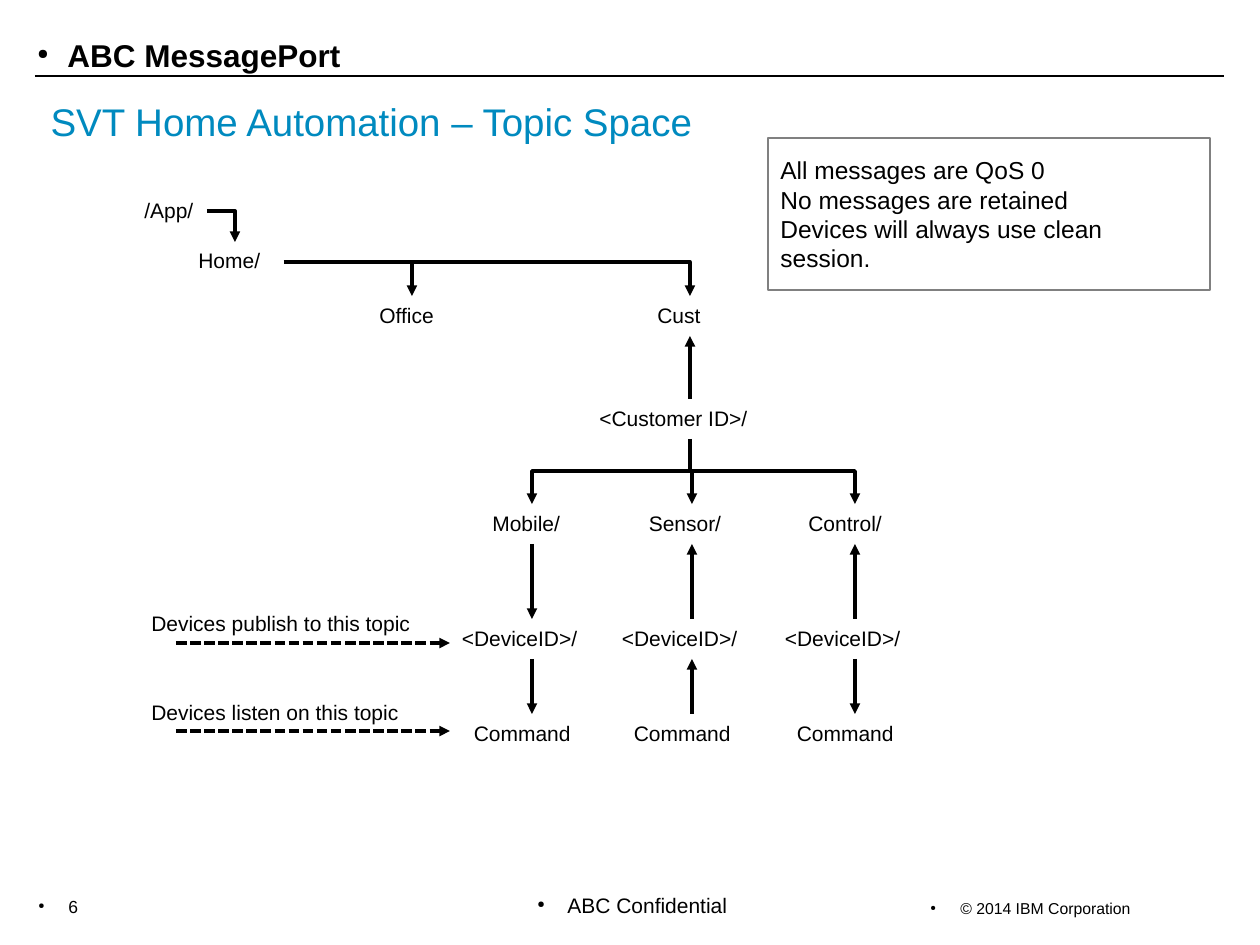
"""Build the topic space slide for home automation."""
from lxml.etree import SubElement
from pptx import Presentation
from pptx.dml.color import RGBColor
from pptx.enum.dml import MSO_LINE
from pptx.enum.shapes import MSO_CONNECTOR, MSO_SHAPE
from pptx.enum.text import MSO_ANCHOR, MSO_AUTO_SIZE, PP_ALIGN
from pptx.oxml.ns import qn
from pptx.util import Pt

PX = 914400 / 126
BLACK, BLUE, GREY = "000000", "008ABF", "808080"

TITLE = "SVT Home Automation – Topic Space"
MARKED = [
    ("ABC MessagePort", 25, 30, 391, 50, 18, True),
    ("6", 26, 890, 76, 34, 10, False),
    ("ABC Confidential", 525, 886, 261, 38, 12, False),
    ("© 2014 IBM Corporation", 918, 893, 300, 32, 9, False),
]
LABELS = [
    ("/App/", 132, 191, 90),
    ("Home/", 186, 241, 98),
    ("Office", 367, 296, 89),
    ("Cust", 645, 296, 89),
    ("<Customer ID>/", 587, 399, 205),
    ("Devices publish to this topic", 139, 604, 302),
    ("Devices listen on this topic", 139, 693, 302),
]
NOTES = ["All messages are QoS 0", "No messages are retained",
         "Devices will always use clean session."]
TREE = [
    (532, "Mobile/", 104, "down", "down"),
    (692, "Sensor/", 111, "up", "up"),
    (855, "Control/", 118, "up", "down"),
]
ROWS = [504, 619, 714]
HIGH, TRUNK, FORK = 40, 690, 471
BENDS = [(207, 211, 235, 242), (284, 262, TRUNK, 296), (284, 262, 412, 296)]
HINTS = [643, 731]


def emu(*vals):
    return [round(v * PX) for v in vals]


def paint(text):
    return RGBColor.from_string(text)


def style(frame, size, hue=BLACK, bold=False):
    for para in frame.paragraphs:
        para.alignment = PP_ALIGN.LEFT
        for run in para.runs:
            font = run.font
            font.name, font.size, font.bold = "Arial", Pt(size), bold
            font.color.rgb = paint(hue)


def label(slide, text, left, top, width, high=HIGH, size=12, bold=False):
    frame = slide.shapes.add_textbox(*emu(left, top, width, high)).text_frame
    frame.word_wrap = True
    frame.text = text
    style(frame, size, bold=bold)
    return frame.paragraphs[0]


def bullet(para):
    props = para._p.get_or_add_pPr()
    gap = emu(30)[0]
    props.set("marL", str(gap))
    props.set("indent", str(-gap))
    SubElement(SubElement(props, qn("a:buClr")), qn("a:srgbClr"), val=BLACK)
    SubElement(props, qn("a:buSzPct"), val="45000")
    SubElement(props, qn("a:buChar"), char="●")


def link(slide, ends, head=True, bent=False, dash=False, width=0):
    kind = MSO_CONNECTOR.ELBOW if bent else MSO_CONNECTOR.STRAIGHT
    wire = slide.shapes.add_connector(kind, *emu(*ends))
    wire.line.color.rgb = paint(BLACK)
    wire.line.width = Pt(width)
    if dash:
        wire.line.dash_style = MSO_LINE.SQUARE_DOT
    props = wire._element.spPr
    if bent:
        props.find(qn("a:prstGeom")).set("prst", "bentConnector2")
    if head:
        SubElement(props.find(qn("a:ln")), qn("a:tailEnd"), type="triangle")
    SubElement(props, qn("a:effectLst"))


def heading(slide):
    title = slide.shapes.title
    title.left, title.top, title.width, title.height = emu(38, 92, 680, 59)
    frame = title.text_frame
    frame.text = TITLE
    frame.auto_size = MSO_AUTO_SIZE.NONE
    frame.vertical_anchor = MSO_ANCHOR.TOP
    style(frame, 22, BLUE)


def notes(slide):
    box = slide.shapes.add_shape(MSO_SHAPE.RECTANGLE, *emu(768, 138, 442, 152))
    box.shadow.inherit = False
    box.fill.background()
    box.line.color.rgb = paint(GREY)
    box.line.width = Pt(0)
    frame = box.text_frame
    frame.word_wrap = True
    frame.vertical_anchor = MSO_ANCHOR.MIDDLE
    frame.text = "\n".join(NOTES)
    style(frame, 14)


def tree(slide):
    link(slide, (TRUNK, 399, TRUNK, 336))
    link(slide, (TRUNK, 439, TRUNK, FORK), head=False)
    for mid, name, width, *ways in TREE:
        link(slide, (TRUNK, FORK, mid, ROWS[0]), bent=True)
        cells = [(name, width), ("<DeviceID>/", 165), ("Command", 141)]
        for (text, wide), top in zip(cells, ROWS):
            label(slide, text, mid - wide / 2, top, wide)
        for way, top, low in zip(ways, ROWS, ROWS[1:]):
            start, end = (top + HIGH, low) if way == "down" else (low, top + HIGH)
            link(slide, (mid, start, mid, end))


def main():
    deck = Presentation()
    deck.slide_width, deck.slide_height = emu(1260, 945)
    slide = deck.slides.add_slide(deck.slide_layouts[5])
    link(slide, (35, 76, 1224, 76), head=False, width=0.75)
    for row in MARKED:
        bullet(label(slide, *row))
    heading(slide)
    for row in LABELS:
        label(slide, *row)
    for ends in BENDS:
        link(slide, ends, bent=True)
    tree(slide)
    for y in HINTS:
        link(slide, (176, y, 450, y), dash=True)
    notes(slide)
    deck.save("out.pptx")


if __name__ == "__main__":
    main()
